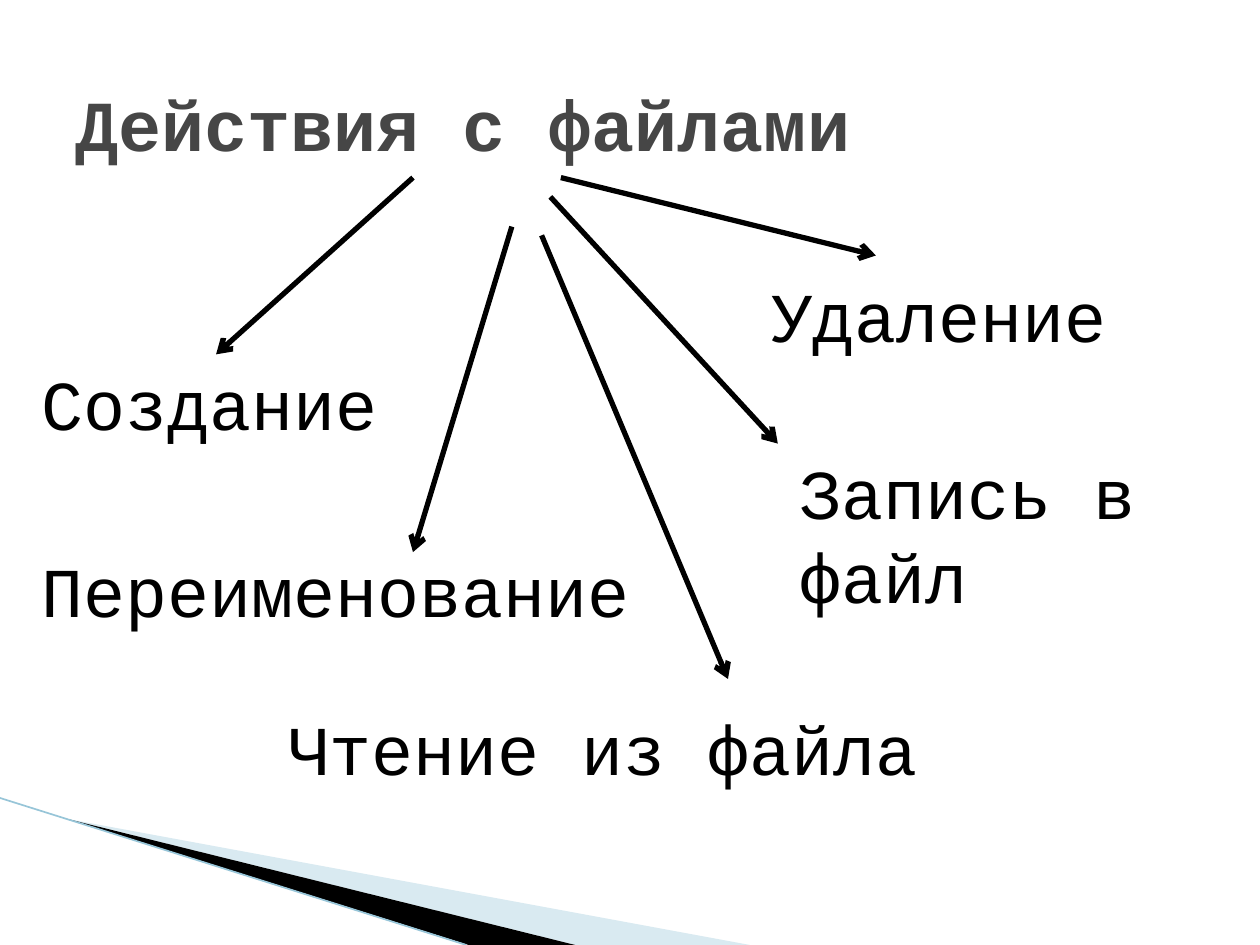
from lxml import etree
from pptx import Presentation
from pptx.dml.color import RGBColor
from pptx.enum import shapes as kinds, text as txt
from pptx.oxml import ns
from pptx.util import Pt

BLACK = RGBColor(0x00, 0x00, 0x00)
GREY = RGBColor(0x46, 0x46, 0x46)
PALE_BLUE = RGBColor(0xA0, 0xCB, 0xDC)
EDGE_BLUE = RGBColor(0x97, 0xC5, 0xD8)
FONT = "Courier New"
WIDTH, HEIGHT = 720, 540

# Label, its box (left, top, width, height), arrow start, arrow end
# An end of None means the middle of the label's top side.
ACTIONS = [
    ("Создание", (16.5, 202.5, 214, 55.5), (236, 101.5), None),
    ("Переименование", (16.5, 309.5, 371.5, 55.5), (292.5, 129.5), (236, 315.5)),
    ("Запись в файл", (450, 253.5, 270, 104.5), (314.5, 112.5), (444.5, 253.5)),
    ("Удаление", (433.5, 152, 214, 55.5), (320.5, 101.5), (500.5, 146)),
    ("Чтение из файла", (157.5, 399.5, 394, 55.5), (309.5, 134.5), (416, 388)),
]


def add_text(slide, content, box, size=40, color=BLACK, bold=False,
             anchor=txt.MSO_ANCHOR.TOP):
    label = slide.shapes.add_textbox(*map(Pt, box))
    frame = label.text_frame
    frame.word_wrap = True
    frame.vertical_anchor = anchor
    run = frame.paragraphs[0].add_run()
    run.text = content
    run.font.name = FONT
    run.font.size = Pt(size)
    run.font.bold = bold
    run.font.color.rgb = color
    return label


def add_line(slide, start, end, color, width, arrow=False):
    line = slide.shapes.add_connector(
        kinds.MSO_CONNECTOR.STRAIGHT, *map(Pt, (*start, *end)))
    line.line.color.rgb = color
    line.line.width = Pt(width)
    if arrow:
        etree.SubElement(line.line._get_or_add_ln(), ns.qn("a:tailEnd"), type="arrow")
    etree.SubElement(line._element.spPr, ns.qn("a:effectLst"))
    return line


def add_wedge(slide, points, color, opacity=100):
    corners = [(Pt(x), Pt(y)) for x, y in points]
    builder = slide.shapes.build_freeform(*corners[0])
    builder.add_line_segments(corners[1:], close=True)
    wedge = builder.convert_to_shape()
    wedge.shadow.inherit = False
    wedge.fill.solid()
    wedge.fill.fore_color.rgb = color
    wedge.line.fill.background()
    if opacity < 100:
        tint = wedge._element.spPr.find(".//" + ns.qn("a:srgbClr"))
        etree.SubElement(tint, ns.qn("a:alpha"), val=str(opacity * 1000))


def draw_corner(slide, left, top, width, height):
    """Layered wedges falling from the left edge to the bottom edge."""
    bottom = top + height
    tip = (left + 38.5, top + 12)
    inner, outer = left + 0.458 * width, left + 0.767 * width
    add_wedge(slide, [tip, (left + width, bottom), (outer, bottom)], PALE_BLUE, 40)
    add_wedge(slide, [tip, (outer, bottom), (left + 0.625 * width, bottom)], BLACK)
    add_line(slide, (left, top), (left + 0.622 * width, bottom), EDGE_BLUE, 0.95)


def draw_actions(slide, left, top):
    """Labels first, then the arrows that lead to them."""
    def place(point):
        return left + point[0], top + point[1]

    labels = [add_text(slide, name, (*place(box), *box[2:]))
              for name, box, _, _ in ACTIONS]
    for label, (_, box, start, end) in zip(labels, ACTIONS):
        target = end or (box[0] + box[2] / 2, box[1])
        arrow = add_line(slide, place(start), place(target), BLACK, 3, arrow=True)
        if end is None:
            arrow.end_connect(label, 0)


def main():
    deck = Presentation()
    deck.slide_width, deck.slide_height = Pt(WIDTH), Pt(HEIGHT)
    slide = deck.slides.add_slide(deck.slide_layouts[6])

    # Corner decoration
    draw_corner(slide, 0, 456, 428.5, HEIGHT - 456)
    # Title
    add_text(slide, "Действия с файлами", (36, 25, 648, 90), size=41,
             color=GREY, bold=True, anchor=txt.MSO_ANCHOR.MIDDLE)
    # File actions
    draw_actions(slide, 0, 0)

    deck.save("out.pptx")


if __name__ == "__main__":
    main()
